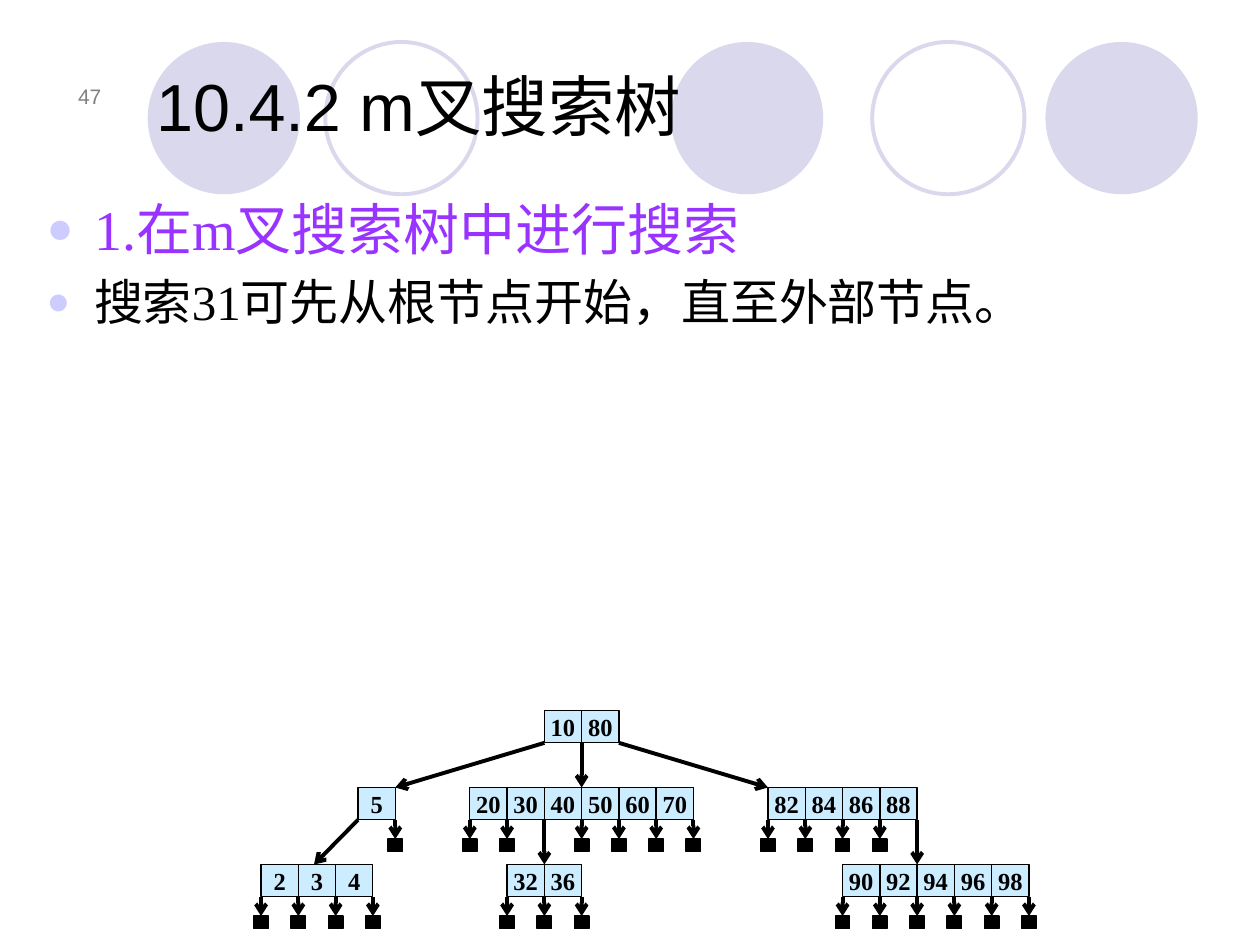
from lxml import etree
from pptx import Presentation
from pptx.dml.color import RGBColor
from pptx.enum.shapes import MSO_CONNECTOR, MSO_SHAPE
from pptx.enum.text import MSO_ANCHOR, MSO_AUTO_SIZE, PP_ALIGN
from pptx.oxml.ns import qn
from pptx.util import Pt

OVAL, RECT, STRAIGHT = MSO_SHAPE.OVAL, MSO_SHAPE.RECTANGLE, MSO_CONNECTOR.STRAIGHT
MIDDLE, BOTTOM = MSO_ANCHOR.MIDDLE, MSO_ANCHOR.BOTTOM
LEFT, CENTER, RIGHT = PP_ALIGN.LEFT, PP_ALIGN.CENTER, PP_ALIGN.RIGHT
NO_AUTOFIT = MSO_AUTO_SIZE.NONE

BLACK = RGBColor(0, 0, 0)
GRAY = RGBColor(0x80, 0x80, 0x80)
LAVENDER = RGBColor(0xD9, 0xD8, 0xEC)
BULLET = RGBColor(0xCC, 0xCC, 0xFF)
PURPLE = RGBColor(0x99, 0x33, 0xFF)
PALE_BLUE = RGBColor(0xCC, 0xEC, 0xFF)
SANS, SERIF = "Arial", "Times New Roman"

CELL_W, CELL_H, ROW_PITCH = 21.3, 18.5, 44
LEAF_W, LEAF_H, LEAF_GAP = 8.4, 7.2, 11

# column, row, keys, {gap between keys: column the child arrow ends at}
NODES = [
    (7.6, 0, (10, 80), {0: 3.6, 1: 8.6, 2: 13.6}),
    (2.6, 1, (5,), {0: 1.42}),
    (5.6, 1, (20, 30, 40, 50, 60, 70), {2: 7.6}),
    (13.6, 1, (82, 84, 86, 88), {4: 17.6}),
    (0, 2, (2, 3, 4), {}),
    (6.6, 2, (32, 36), {}),
    (15.6, 2, (90, 92, 94, 96, 98), {}),
]


def style_font(font, name, size, color, bold=False):
    font.name, font.size, font.bold = name, Pt(size), bold
    font.color.rgb = color


def add_block(s, kind, x, y, w, h, fill=None, line=None, weight=0.75):
    sp = s.shapes.add_shape(kind, Pt(x), Pt(y), Pt(w), Pt(h))
    sp.shadow.inherit = False
    if fill is None:
        sp.fill.background()
    else:
        sp.fill.solid()
        sp.fill.fore_color.rgb = fill
    if line is None:
        sp.line.fill.background()
    else:
        sp.line.color.rgb = line
        sp.line.width = Pt(weight)
    return sp


def add_arrow(s, x1, y1, x2, y2):
    c = s.shapes.add_connector(STRAIGHT, Pt(x1), Pt(y1), Pt(x2), Pt(y2))
    c.line.color.rgb = BLACK
    c.line.width = Pt(2.25)
    etree.SubElement(c.line._get_or_add_ln(), qn("a:tailEnd"), type="arrow")
    etree.SubElement(c._element.spPr, qn("a:effectLst"))
    return c


def add_bullet(p):
    pPr = p._p.get_or_add_pPr()
    pPr.set("marL", str(Pt(27)))
    pPr.set("indent", str(Pt(-27)))
    color = etree.SubElement(pPr, qn("a:buClr"))
    etree.SubElement(color, qn("a:srgbClr"), val=str(BULLET))
    etree.SubElement(pPr, qn("a:buSzPct"), val="80000")
    etree.SubElement(pPr, qn("a:buFont"), typeface=SANS)
    etree.SubElement(pPr, qn("a:buChar"), char="●")


def place(sp, x, y, w, h):
    sp.left, sp.top, sp.width, sp.height = Pt(x), Pt(y), Pt(w), Pt(h)
    sp.text_frame.word_wrap = True
    sp.text_frame.auto_size = NO_AUTOFIT


def add_circles(s, x, y, size):
    for dx, filled in ((0, True), (101.5, False), (299, True), (414, False), (513, True)):
        if filled:
            add_block(s, OVAL, x + dx, y, size, size, fill=LAVENDER)
        else:
            add_block(s, OVAL, x + dx, y, size, size, line=LAVENDER, weight=2.25)


def add_number(s, x, y, w, h):
    sp = s.shapes.add_textbox(Pt(x), Pt(y), Pt(w), Pt(h))
    tf = sp.text_frame
    tf.word_wrap = True
    tf.vertical_anchor = BOTTOM
    p = tf.paragraphs[0]
    p.text = "47"
    p.alignment = RIGHT
    style_font(p.runs[0].font, SANS, 12, GRAY)


def fill_title(s, x, y, w, h):
    sp = s.shapes.title
    s.shapes._spTree.append(sp._element)
    place(sp, x, y, w, h)
    tf = sp.text_frame
    tf.vertical_anchor = BOTTOM
    p = tf.paragraphs[0]
    p.text = "10.4.2 m叉搜索树"
    p.alignment = LEFT
    style_font(p.runs[0].font, SANS, 38, BLACK)


def fill_body(s, x, y, w, h):
    sp = s.placeholders[1]
    s.shapes._spTree.append(sp._element)
    place(sp, x, y, w, h)
    tf = sp.text_frame
    tf.text = "1.在m叉搜索树中进行搜索\n搜索31可先从根节点开始，直至外部节点。"
    styles = ((32, PURPLE, 1.2, 0), (28, BLACK, 1.0, 5.6))
    for p, (size, color, spacing, before) in zip(tf.paragraphs, styles):
        p.line_spacing = spacing
        p.space_before = Pt(before)
        add_bullet(p)
        style_font(p.runs[0].font, SERIF, size, color)


def add_key(s, x, y, key):
    sp = add_block(s, RECT, x, y, CELL_W, CELL_H, PALE_BLUE, BLACK)
    tf = sp.text_frame
    tf.word_wrap = False
    tf.margin_left = tf.margin_right = tf.margin_top = tf.margin_bottom = 0
    tf.vertical_anchor = MIDDLE
    p = tf.paragraphs[0]
    p.text = str(key)
    p.alignment = CENTER
    style_font(p.runs[0].font, SERIF, 14, BLACK, bold=True)


def add_tree(s, left, top):
    for column, row, keys, links in NODES:
        x, y = left + column * CELL_W, top + row * ROW_PITCH
        bottom = y + CELL_H
        for i, key in enumerate(keys):
            add_key(s, x + i * CELL_W, y, key)
        for gap in range(len(keys) + 1):
            gx = x + gap * CELL_W
            if gap in links:
                add_arrow(s, gx, bottom, left + links[gap] * CELL_W, y + ROW_PITCH)
            elif row:
                ly = bottom + LEAF_GAP
                leaf = add_block(s, RECT, gx - LEAF_W / 2, ly, LEAF_W, LEAF_H, BLACK, BLACK)
                add_arrow(s, gx, bottom, gx, ly).end_connect(leaf, 0)


def main():
    prs = Presentation()
    prs.slide_width, prs.slide_height = Pt(720), Pt(540)
    s = prs.slides.add_slide(prs.slide_layouts[1])
    add_circles(s, 84.4, 24, 87)
    add_number(s, 25, 31.5, 40, 34)
    fill_title(s, 82, 15, 584, 71.5)
    fill_body(s, 19.5, 100, 680, 351)
    add_tree(s, 149.2, 406)
    prs.save("out.pptx")


if __name__ == "__main__":
    main()
